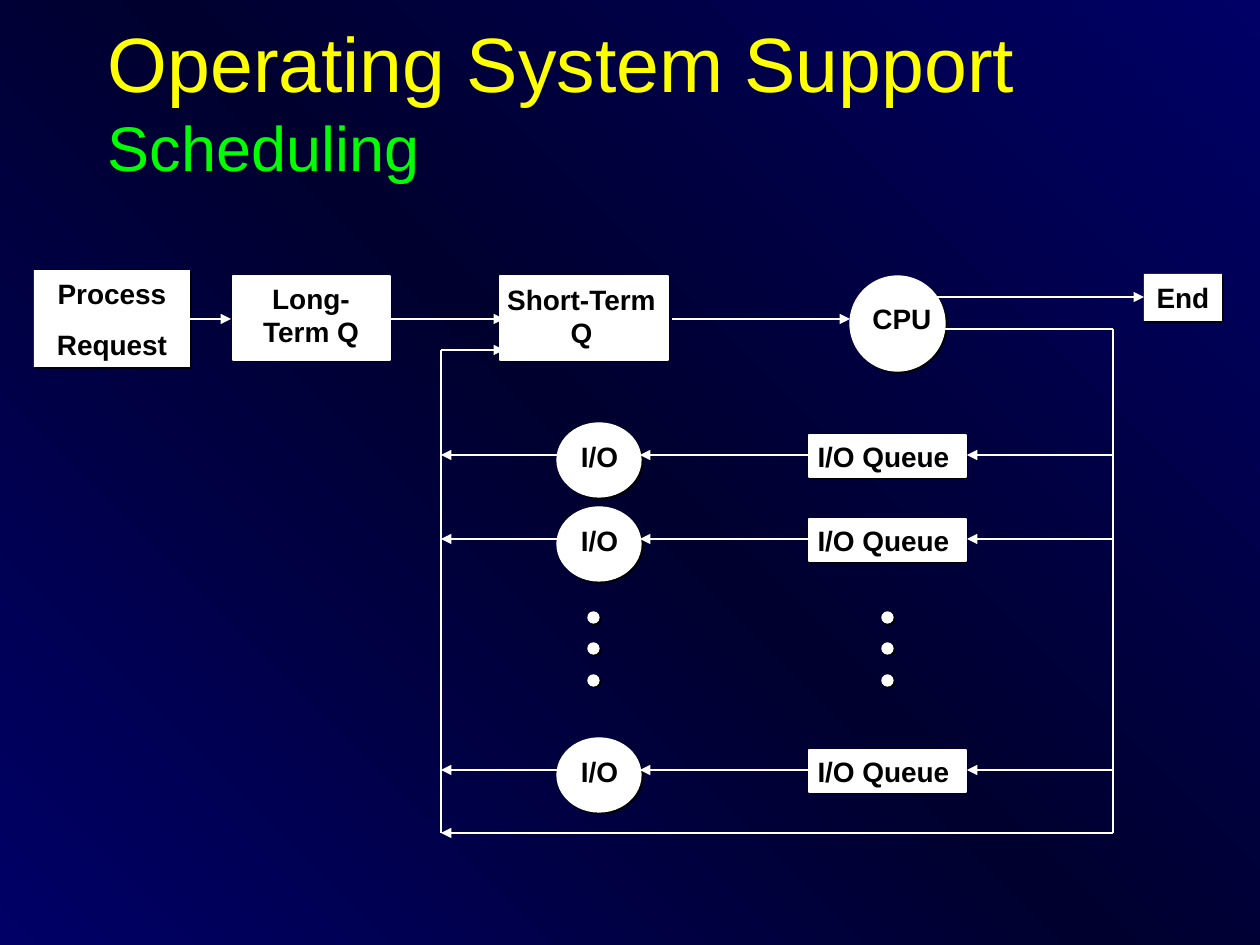
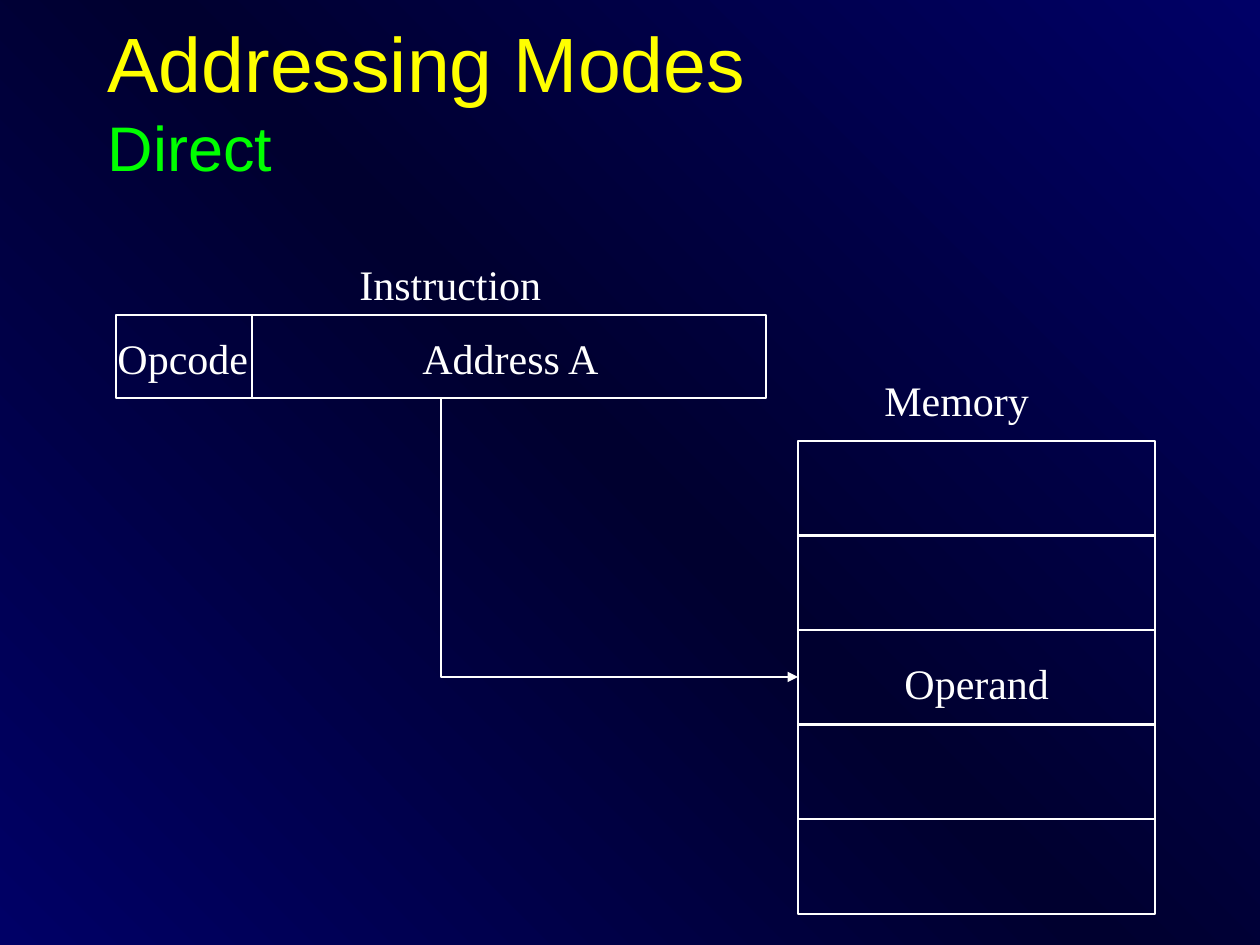
from dataclasses import dataclass

from lxml import etree
from pptx import Presentation
from pptx import util as u
from pptx.dml.color import RGBColor
from pptx.enum import shapes, text
from pptx.oxml import ns

SCALE = u.Inches(1) / 126
RECT = shapes.MSO_SHAPE.RECTANGLE
OVAL = shapes.MSO_SHAPE.OVAL
LEFT = text.PP_ALIGN.LEFT
MID = text.PP_ALIGN.CENTER


@dataclass(frozen=True)
class Theme:
    edge: str = "000066"
    core: str = "00002F"
    head: str = "FFFF00"
    sub: str = "00FF00"
    ink: str = "FFFFFF"
    dark: str = "000000"
    sans: str = "Arial"
    serif: str = "Times New Roman"
    big: int = 44
    mid: int = 36
    note: int = 24
    small: int = 16
    thin: float = 0.75
    rule: float = 1


T = Theme()


def px(*nums):
    return [u.Emu(round(n * SCALE)) for n in nums]


def rgb(code):
    return RGBColor.from_string(code)


def node(parent, tag, **attrs):
    return etree.SubElement(parent, ns.qn(tag), attrs)


# Text
def run(para, words, size, font, color, bold=False):
    item = para.add_run()
    item.text = words
    item.font.size = u.Pt(size)
    item.font.name = font
    item.font.bold = bold
    item.font.color.rgb = rgb(color)


def write(shape, lines, style, align, wrap=True):
    frame = shape.text_frame
    frame.word_wrap = wrap
    frame.auto_size = text.MSO_AUTO_SIZE.SHAPE_TO_FIT_TEXT
    frame.vertical_anchor = text.MSO_ANCHOR.TOP
    for i, words in enumerate(lines):
        para = frame.add_paragraph() if i else frame.paragraphs[0]
        para.alignment = align
        if i:
            para.space_before = u.Pt(10)
        run(para, words, *style)


def tag(pool, words, *box):
    """Bold dark label lying on a white block."""
    write(pool.add_textbox(*px(*box)), [words],
          (T.small, T.sans, T.dark, True), MID)


def note(pool, words, *box):
    """Light serif caption on one line."""
    write(pool.add_textbox(*px(*box)), [words],
          (T.note, T.serif, T.ink), LEFT, wrap=False)


def title(slide, head, sub):
    shape = slide.shapes.title
    shape.left, shape.top, shape.width, shape.height = px(95, 21, 1071, 158)
    frame = shape.text_frame
    frame.auto_size = text.MSO_AUTO_SIZE.NONE
    frame.vertical_anchor = text.MSO_ANCHOR.MIDDLE
    para = frame.paragraphs[0]
    para.alignment = LEFT
    run(para, head, T.big, T.sans, T.head)
    para.add_line_break()
    run(para, sub, T.mid, T.sans, T.sub)


# Shapes and lines
def pen(shape, width):
    shape.line.color.rgb = rgb(T.ink)
    shape.line.width = u.Pt(width)


def arrow(shape):
    node(shape.line._get_or_add_ln(), "a:tailEnd", type="triangle")


def block(pool, kind, *box, edge=True):
    """White shape with a hard black shadow."""
    shape = pool.add_shape(kind, *px(*box))
    shape.fill.solid()
    shape.fill.fore_color.rgb = rgb(T.ink)
    if edge:
        pen(shape, T.thin)
    else:
        shape.line.fill.background()
    shape.shadow.inherit = False
    effects = shape._element.spPr.find(ns.qn("a:effectLst"))
    shade = node(effects, "a:outerShdw", blurRad="0",
                 dist=str(u.Pt(1.4)), dir="2700000", algn="ctr", rotWithShape="0")
    node(shade, "a:srgbClr", val=T.dark)
    return shape


def cell(pool, *box):
    shape = pool.add_shape(RECT, *px(*box))
    shape.fill.background()
    pen(shape, T.rule)
    shape.shadow.inherit = False


def link(pool, x1, y1, x2, y2, head=True, width=T.thin):
    line = pool.add_connector(shapes.MSO_CONNECTOR.STRAIGHT,
                              *px(x1, y1, x2, y2))
    pen(line, width)
    if head:
        arrow(line)
    node(line._element.spPr, "a:effectLst")


def bend(pool, *points):
    first, *rest = [px(*point) for point in points]
    form = pool.build_freeform(*first)
    form.add_line_segments(rest, close=False)
    shape = form.convert_to_shape()
    shape.fill.background()
    pen(shape, T.rule)
    arrow(shape)
    shape.shadow.inherit = False


# Shared background
def backdrop(master):
    fill = master.background.fill
    fill.gradient()
    fill.gradient_angle = 225
    stops = next(master._element.iter(ns.qn("a:gsLst")))
    for old in list(stops):
        stops.remove(old)
    for pos, color in ((0, T.edge), (50, T.core), (100, T.edge)):
        stop = node(stops, "a:gs", pos=str(pos * 1000))
        node(stop, "a:srgbClr", val=color)


# Scheduling slide
def queue(pool, y, left, right):
    """One device row: queue, device and the arrows through them."""
    block(pool, OVAL, 557, y - 32, 84, 74)
    block(pool, RECT, 809, y - 20, 157, 42)
    tag(pool, "I/O Queue", 801, y - 22, 165, 47)
    tag(pool, "I/O", 559, y - 22, 81, 47)
    for start, end in ((right, 967), (809, 640), (557, left)):
        link(pool, start, y, end, y)


def schedule(slide):
    title(slide, "Operating System Support", "Scheduling")
    pool = slide.shapes
    left, right, base = 441, 1113, 833

    # Main path
    block(pool, OVAL, 850, 276, 95, 95)
    block(pool, RECT, 500, 276, 168, 84)
    block(pool, RECT, 233, 276, 157, 84)
    bold = (T.small, T.sans, T.dark, True)
    ask = block(pool, RECT, 34, 270, 156, 97, edge=False)
    write(ask, ["Process", "Request"], bold, MID)
    end = block(pool, RECT, 1144, 274, 78, 47, edge=False)
    write(end, ["End"], bold, MID, wrap=False)
    tag(pool, "Long-Term Q", 231, 275, 160, 81)
    tag(pool, "Short-Term Q", 494, 276, 175, 81)
    tag(pool, "CPU", 859, 295, 86, 47)
    for x1, x2 in ((190, 231), (388, 504), (672, 850)):
        link(pool, x1, 319, x2, 319)
    link(pool, 935, 297, 1144, 297)

    # Return loop
    link(pool, 945, 329, right, 329, head=False)
    link(pool, right, 329, right, base, head=False)
    link(pool, right, base, left, base)
    link(pool, left, 350, left, base, head=False)
    link(pool, left, 350, 504, 350)

    # Device rows, with dots for the rows between
    for y in (455, 539, 770):
        queue(pool, y, left, right)
    for x in (588, 882):
        for i in range(3):
            block(pool, OVAL, x, 612 + 63 * i // 2, 11, 11)


# Addressing slide
def direct(slide):
    title(slide, "Addressing Modes", "Direct")
    pool = slide.shapes

    # Instruction word
    word = pool.add_group_shape().shapes
    cell(word, 116, 315, 650, 83)
    link(word, 252, 316, 252, 398, head=False, width=T.rule)
    note(pool, "Address A", 410, 326, 203, 63)
    note(pool, "Opcode", 105, 326, 156, 63)
    note(pool, "Instruction", 347, 252, 207, 63)

    # Memory
    for i in range(5):
        cell(pool, 798, 441 + 189 * i // 2, 357, 95)
    note(pool, "Memory", 872, 368, 170, 63)
    note(pool, "Operand", 892, 651, 170, 63)
    bend(pool, (441, 398), (441, 677), (798, 677))


def main():
    deck = Presentation()
    deck.slide_width, deck.slide_height = px(1260, 945)
    backdrop(deck.slide_master)
    for draw in (schedule, direct):
        draw(deck.slides.add_slide(deck.slide_layouts[5]))
    deck.save("out.pptx")


if __name__ == "__main__":
    main()
